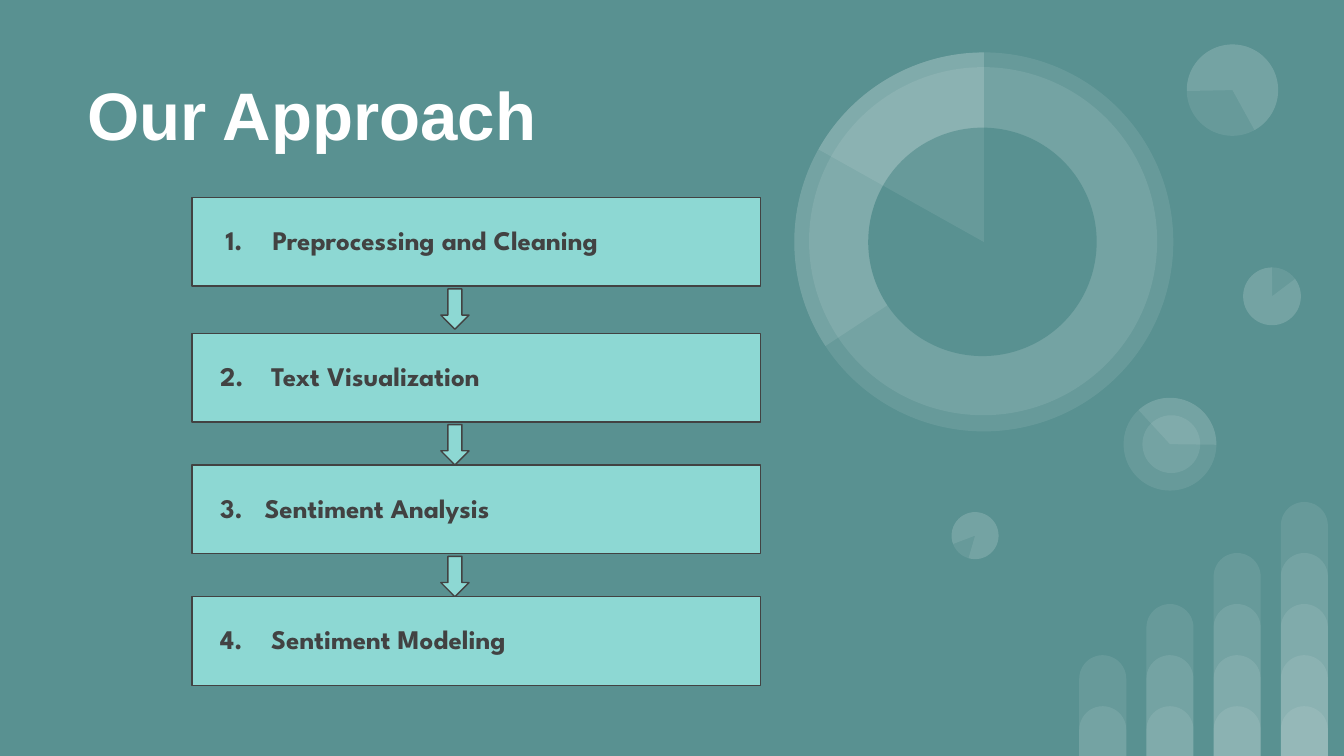
from lxml import etree
from pptx import Presentation
from pptx.dml.color import RGBColor
from pptx.enum.shapes import MSO_SHAPE
from pptx.enum.text import MSO_ANCHOR, PP_ALIGN
from pptx.oxml.ns import qn
from pptx.util import Inches, Pt

COLORS = {"background": "599191", "white": "FFFFFF", "step": "8DD8D3", "ink": "424242"}
TITLE_FONT, STEP_FONT = "Arial", "League Spartan"
BAR = MSO_SHAPE.ROUND_2_SAME_RECTANGLE
CIRCLE, PIE = MSO_SHAPE.OVAL, MSO_SHAPE.PIE
BOX, DOWN_ARROW = MSO_SHAPE.RECTANGLE, MSO_SHAPE.DOWN_ARROW
MIDDLE, LEFT = MSO_ANCHOR.MIDDLE, PP_ALIGN.LEFT


def color(name):
    return RGBColor.from_string(COLORS[name])


def add_filled(shapes, kind, left, top, width, height, fill, opacity=None):
    """Add a preset shape with a plain fill, no outline and no shadow."""
    shape = shapes.add_shape(kind, Inches(left), Inches(top), Inches(width), Inches(height))
    shape.shadow.inherit = False
    shape.line.fill.background()
    shape.fill.solid()
    shape.fill.fore_color.rgb = color(fill)
    if opacity is not None:
        tint = shape.element.spPr.find(qn("a:solidFill"))[0]
        etree.SubElement(tint, qn("a:alpha"), val=str(opacity * 1000))
    return shape


def add_bars(page, left, bottom):
    """Stack translucent rounded bars in four columns, each one level taller."""
    group = page.shapes.add_group_shape()
    for column in range(4):
        for level in range(column + 2):
            height = 0.37 + 0.38 * level
            bar = add_filled(group.shapes, BAR, left + 0.5 * column, bottom - height,
                             0.35, height, "white", 9)
            bar.adjustments[0] = 0.5
            bar.adjustments[1] = 0


def add_disc(group, left, top, size, angles=None, rotation=0, fill="white", opacity=9):
    """Add a circle, or a pie between two angles in degrees."""
    disc = add_filled(group.shapes, PIE if angles else CIRCLE,
                      left, top, size, size, fill, opacity)
    disc.rotation = rotation
    for index, angle in enumerate(angles or ()):
        disc.adjustments[index] = angle * 0.6  # 60000ths of a degree over 100000


def add_pie(group, left, top, size, angles, rotation=0):
    add_disc(group, left, top, size, rotation=rotation)
    add_disc(group, left, top, size, angles, rotation)


def add_ring(group, left, top, size):
    """Draw the large ring, with two sectors that end at twelve o'clock."""
    add_disc(group, left, top, size)
    add_disc(group, left + 0.11, top + 0.11, size - 0.23, rotation=34.1)
    add_disc(group, left, top, size, (146.69, 270))
    add_disc(group, left + 0.55, top + 0.56, size - 1.12, rotation=34.1,
             fill="background", opacity=None)
    add_disc(group, left, top, size, (209.24, 270))


def add_circle_charts(page):
    group = page.shapes.add_group_shape()
    add_pie(group, 9.25, 1.99, 0.43, (322.95, 270))
    add_pie(group, 7.08, 3.81, 0.35, (322.95, 270), 196.2)
    add_pie(group, 8.36, 2.96, 0.69, (137.41, 270.77), 90)
    add_disc(group, 8.5, 3.09, 0.43, rotation=90)
    add_pie(group, 8.83, 0.33, 0.68, (322.95, 205.23), 215.9)
    add_ring(group, 5.91, 0.39, 2.82)


def place_title(page, left, top, width, height):
    title = page.shapes.title
    title.left, title.top = Inches(left), Inches(top)
    title.width, title.height = Inches(width), Inches(height)
    frame = title.text_frame
    frame.text = "Our Approach"
    frame.vertical_anchor = MIDDLE
    set_margins(frame)
    para = frame.paragraphs[0]
    para.alignment = LEFT
    style_run(para.runs[0], TITLE_FONT, 36, "white")
    title.element.getparent().append(title.element)  # in front of the decoration


def set_margins(frame):
    frame.margin_left = frame.margin_right = Inches(0.1)
    frame.margin_top = frame.margin_bottom = Inches(0.1)


def style_run(run, font_name, size, ink):
    run.font.name, run.font.size, run.font.bold = font_name, Pt(size), True
    run.font.color.rgb = color(ink)


def indent_paragraph(para, number_left, text_left):
    """Hang the number to the left of the text."""
    props = para._p.get_or_add_pPr()
    props.set("marL", str(Inches(text_left)))
    props.set("indent", str(Inches(number_left - text_left)))


def number_paragraph(para):
    props = para._p.get_or_add_pPr()
    bullet_color = etree.SubElement(props, qn("a:buClr"))
    etree.SubElement(bullet_color, qn("a:srgbClr"), val=COLORS["ink"])
    etree.SubElement(props, qn("a:buFont"), typeface=STEP_FONT)
    etree.SubElement(props, qn("a:buAutoNum"), type="arabicPeriod")


def outline(shape):
    shape.line.color.rgb = color("ink")
    shape.line.width = Pt(0.75)


def add_step(page, left, top, text, number_left, text_left):
    """Add a step box; text without a typed number gets an automatic one."""
    box = add_filled(page.shapes, BOX, left, top, 4.23, 0.66, "step")
    outline(box)
    frame = box.text_frame
    frame.word_wrap = True
    frame.vertical_anchor = MIDDLE
    set_margins(frame)
    frame.text = text
    para = frame.paragraphs[0]
    indent_paragraph(para, number_left, text_left)
    if "\t" not in text:
        number_paragraph(para)
    para.alignment = LEFT
    para.line_spacing = 0.9
    for run in para.runs:
        style_run(run, STEP_FONT, 14.4, "ink")


def add_steps(page, left):
    steps = [
        (1.47, "Preprocessing and Cleaning", 0.15, 0.5),
        (2.48, "2.\tText Visualization", 0.11, 0.49),
        (3.46, "3.\tSentiment Analysis", 0.11, 0.44),
        (4.44, "4.\tSentiment Modeling", 0.11, 0.49),
    ]
    for index, (top, text, number_left, text_left) in enumerate(steps):
        add_step(page, left, top, text, number_left, text_left)
        if index < len(steps) - 1:
            arrow = add_filled(page.shapes, DOWN_ARROW, left + 1.85, top + 0.68,
                               0.21, 0.3, "step")
            outline(arrow)


def main():
    deck = Presentation()
    deck.slide_width = Inches(10)
    deck.slide_height = deck.slide_width * 9 // 16
    page = deck.slides.add_slide(deck.slide_layouts[5])
    page.background.fill.solid()
    page.background.fill.fore_color.rgb = color("background")
    add_bars(page, 8.03, deck.slide_height / Inches(1))
    add_circle_charts(page)
    place_title(page, 0.55, 0.34, 8.25, 1.01)
    add_steps(page, 1.43)
    deck.save("out.pptx")


if __name__ == "__main__":
    main()
